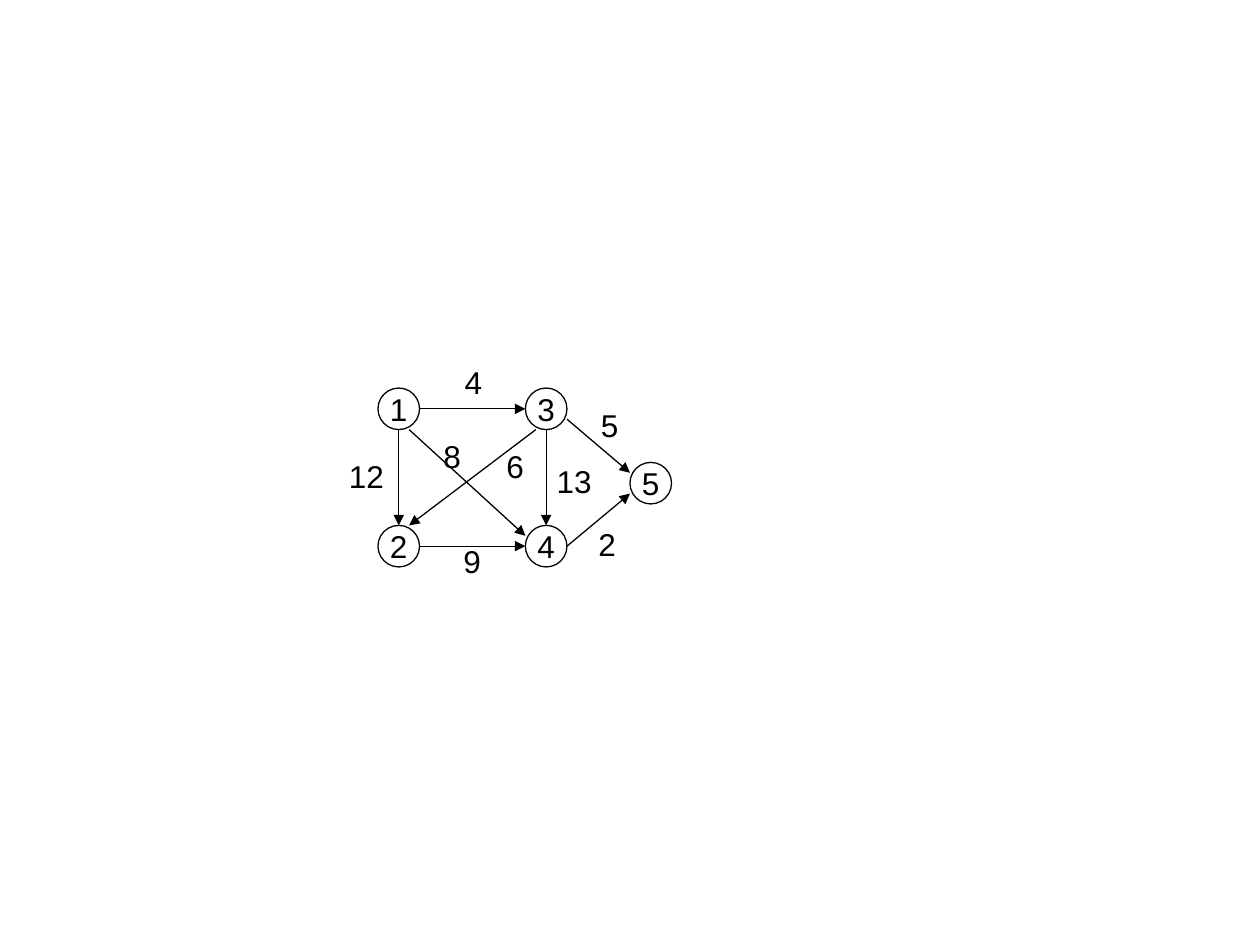
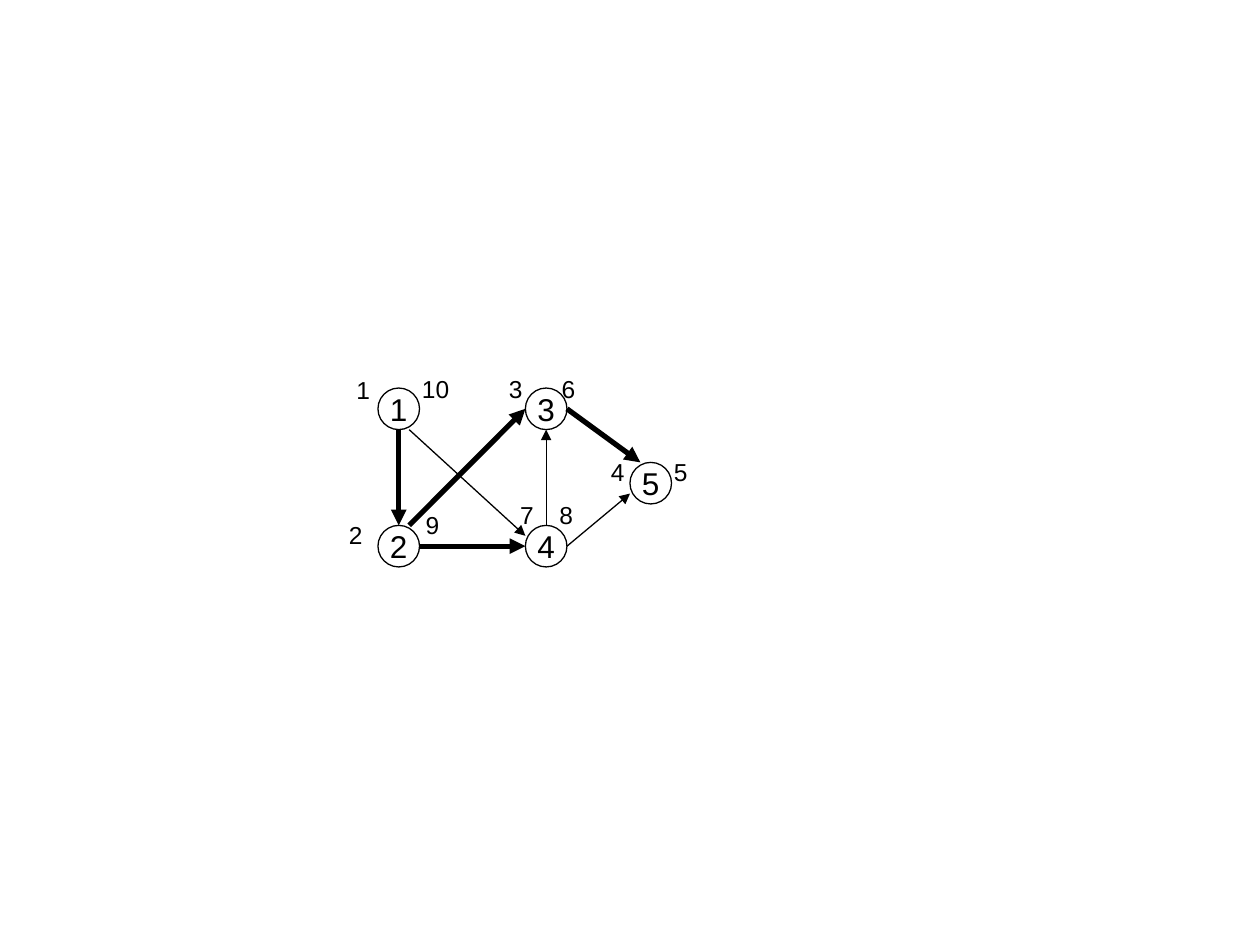
from dataclasses import dataclass

from lxml import etree
from pptx import Presentation
from pptx.dml.color import RGBColor
from pptx.enum.shapes import MSO_CONNECTOR, MSO_SHAPE
from pptx.enum.text import MSO_ANCHOR, MSO_AUTO_SIZE, PP_ALIGN
from pptx.oxml.ns import qn
from pptx.util import Inches, Pt

OVAL = MSO_SHAPE.OVAL
STRAIGHT = MSO_CONNECTOR.STRAIGHT
MIDDLE = MSO_ANCHOR.MIDDLE
FIT_SHAPE = MSO_AUTO_SIZE.SHAPE_TO_FIT_TEXT
LEFT, CENTER = PP_ALIGN.LEFT, PP_ALIGN.CENTER


@dataclass(frozen=True)
class Theme:
    font: str = "Arial"
    ink: RGBColor = RGBColor(0, 0, 0)
    node_size: int = 18
    weight_size: int = 18
    time_size: int = 14
    thin: float = 0.75
    thick: float = 3


THEME = Theme()
SLIDE_SIZE = (10, 7.5)
GRAPH_ORIGIN = (3, 3.08)

# Node boxes, relative to the graph's origin
DIAMETER = 0.33
NODES = {1: (0, 0), 2: (0, 1.09), 3: (1.17, 0), 4: (1.17, 1.09), 5: (2, 0.59)}

# Points on a node, as fractions of its box
TOP, TOP_LEFT, TOP_RIGHT = (0.5, 0), (0.25, 0), (0.75, 0)
BOTTOM, BOTTOM_LEFT, BOTTOM_RIGHT = (0.5, 1), (0.25, 1), (0.75, 1)
LEFT_SIDE, LEFT_UPPER, LEFT_LOWER = (0, 0.5), (0, 0.25), (0, 0.75)
RIGHT_SIDE, RIGHT_LOWER = (1, 0.5), (1, 0.75)

# Edges: from node, its point, to node, its point, line width
SHARED_EDGES = [
    (1, BOTTOM_RIGHT, 4, LEFT_UPPER, THEME.thin),
    (4, RIGHT_SIDE, 5, LEFT_LOWER, THEME.thin),
]
WEIGHTED_EDGES = SHARED_EDGES + [
    (1, BOTTOM, 2, TOP, THEME.thin),
    (1, RIGHT_SIDE, 3, LEFT_SIDE, THEME.thin),
    (2, RIGHT_SIDE, 4, LEFT_SIDE, THEME.thin),
    (3, BOTTOM, 4, TOP, THEME.thin),
    (3, RIGHT_LOWER, 5, LEFT_UPPER, THEME.thin),
    (3, BOTTOM_LEFT, 2, TOP_RIGHT, THEME.thin),
]
SEARCH_EDGES = SHARED_EDGES + [
    (1, BOTTOM, 2, TOP, THEME.thick),
    (2, TOP_RIGHT, 3, LEFT_SIDE, THEME.thick),
    (3, RIGHT_SIDE, 5, TOP_LEFT, THEME.thick),
    (2, RIGHT_SIDE, 4, LEFT_SIDE, THEME.thick),
    (4, TOP, 3, BOTTOM, THEME.thin),
]

# Labels: text, then left and top relative to the graph's origin
EDGE_WEIGHTS = [
    ("12", -0.33, 0.5), ("5", 1.67, 0.09), ("2", 1.65, 1.04), ("4", 0.59, -0.25),
    ("9", 0.58, 1.17), ("8", 0.42, 0.34), ("13", 1.32, 0.54), ("6", 0.92, 0.42),
]
VISIT_TIMES = [
    ("1", -0.27, -0.15), ("2", -0.33, 1), ("3", 0.94, -0.16), ("4", 1.75, 0.5),
    ("5", 2.25, 0.5), ("6", 1.36, -0.16), ("7", 1.03, 0.84), ("8", 1.34, 0.84),
    ("9", 0.28, 0.92), ("10", 0.25, -0.16),
]


def write_text(text_frame, text, size, alignment):
    text_frame.word_wrap = False
    paragraph = text_frame.paragraphs[0]
    paragraph.text = text
    paragraph.alignment = alignment
    paragraph.font.name = THEME.font
    paragraph.font.size = Pt(size)
    paragraph.font.color.rgb = THEME.ink


def add_node(slide, left, top, number):
    shape = slide.shapes.add_shape(
        OVAL, Inches(left), Inches(top), Inches(DIAMETER), Inches(DIAMETER))
    shape.shadow.inherit = False
    shape.fill.background()
    shape.line.color.rgb = THEME.ink
    shape.line.width = Pt(THEME.thin)
    shape.text_frame.vertical_anchor = MIDDLE
    write_text(shape.text_frame, str(number), THEME.node_size, CENTER)


def add_arrow(slide, start, end, width):
    points = [Inches(value) for value in (*start, *end)]
    connector = slide.shapes.add_connector(STRAIGHT, *points)
    connector.line.color.rgb = THEME.ink
    connector.line.width = Pt(width)
    properties = connector.line._get_or_add_ln()
    etree.SubElement(properties, qn("a:tailEnd"), type="triangle")
    etree.SubElement(connector._element.spPr, qn("a:effectLst"))


def add_label(slide, left, top, text, size):
    # Box just large enough for the digits and the default insets
    width = 0.2 + len(text) * 0.56 * size / 72
    height = 0.1 + 1.2 * size / 72
    box = slide.shapes.add_textbox(
        Inches(left), Inches(top), Inches(width), Inches(height))
    write_text(box.text_frame, text, size, LEFT)
    box.text_frame.auto_size = FIT_SHAPE


def add_graph(slide, origin, edges, labels, label_size):
    left, top = origin

    def point_on(node, fraction):
        x, y = NODES[node]
        return (left + x + fraction[0] * DIAMETER,
                top + y + fraction[1] * DIAMETER)

    # Nodes
    for number, (x, y) in NODES.items():
        add_node(slide, left + x, top + y, number)
    # Directed edges
    for source, start, target, end, width in edges:
        add_arrow(slide, point_on(source, start), point_on(target, end), width)
    # Weights or visit times
    for text, x, y in labels:
        add_label(slide, left + x, top + y, text, label_size)


def main():
    presentation = Presentation()
    presentation.slide_width, presentation.slide_height = map(Inches, SLIDE_SIZE)
    blank_layout = presentation.slide_layouts[6]
    for edges, labels, label_size in (
        (WEIGHTED_EDGES, EDGE_WEIGHTS, THEME.weight_size),
        (SEARCH_EDGES, VISIT_TIMES, THEME.time_size),
    ):
        slide = presentation.slides.add_slide(blank_layout)
        add_graph(slide, GRAPH_ORIGIN, edges, labels, label_size)
    presentation.save("out.pptx")


if __name__ == "__main__":
    main()
